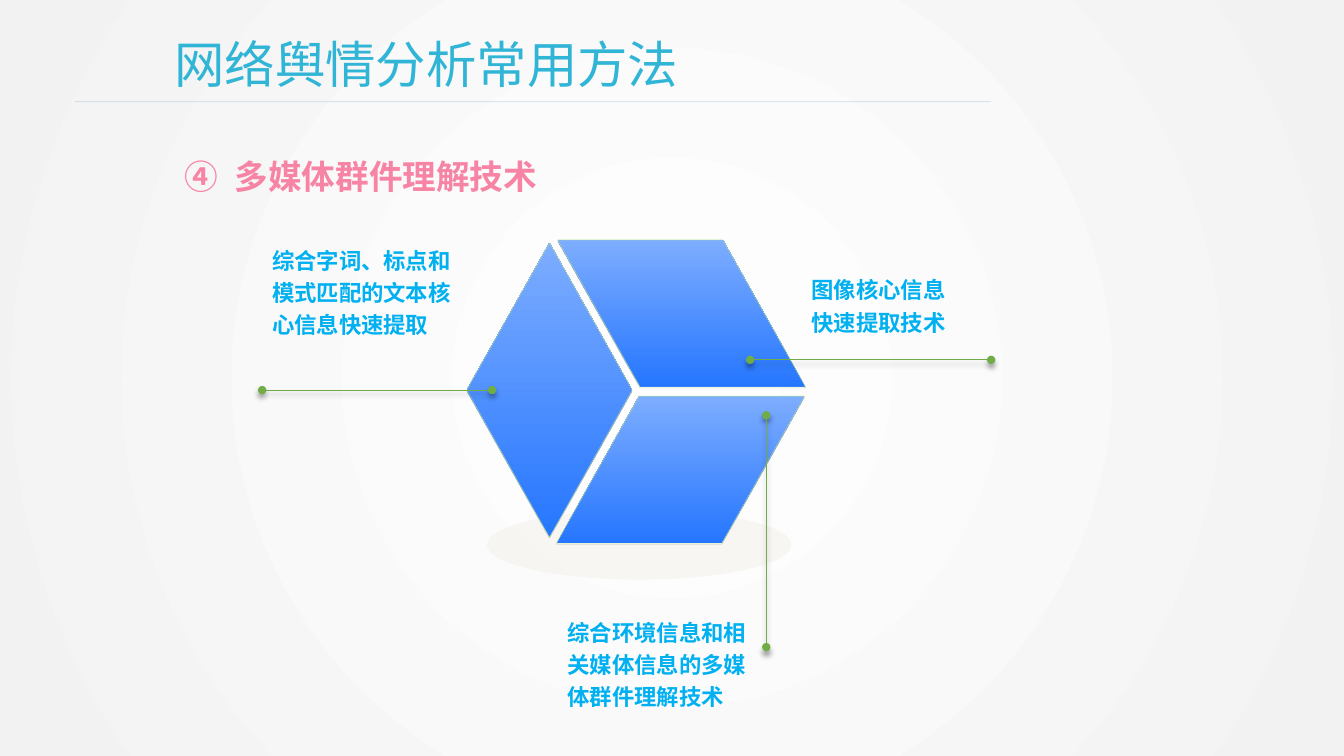
from lxml import etree
from pptx import Presentation
from pptx import util as u
from pptx.dml.color import RGBColor
from pptx.enum import shapes, text
from pptx.oxml.ns import qn

FONT = "Noto Sans CJK SC"
COLORS = {
    "title": "31B5D6", "heading": "F784A5", "label": "00B0F0",
    "rule": "4A7EBB", "callout": "70AD47", "floor": "EEECE1",
    "center": "FFFFFF", "edge": "F2F2F2",
}

# Text boxes: place (left, top, width, height), paragraphs, style name
LABEL = {"size": 16, "color": "label", "bold": True, "spacing": 1.2}
TEXTS = [
    ((1.63, 0.28, 8.5, 0.71), ["网络舆情分析常用方法"],
     {"size": 36, "color": "title"}),
    ((1.73, 1.5, 3.77, 0.5), ["多媒体群件理解技术"],
     {"size": 24, "color": "heading", "bold": True, "number": 4}),
    ((5.53, 6.04, 2.04, 1.04), ["综合环境信息和相关媒体信息的多媒体群件理解技术"], LABEL),
    ((7.95, 2.64, 1.89, 0.72), ["图像核心信息", "快速提取技术"], LABEL),
    ((2.6, 2.35, 1.99, 1.04), ["综合字词、标点和模式匹配的文本核心信息快速提取"], LABEL),
]

# Cube faces in hundredths of an inch: an origin and steps of half a face
HALF, RISE = 82, 146
FACES = [
    ((553, 238), [(0, 0), (1, 1), (3, 1), (2, 0)]),
    ((552, 539), [(0, 0), (2, 0), (3, -1), (1, -1)]),
    ((463, 387), [(0, 0), (1, 1), (2, 0), (1, -1)]),
]
# Layers: drop, bottom and top gradient colours, angle, outline
LAYERS = [
    (1, ("DDDDDD", "FFFFFF"), 270, "C0C0C0"),
    (0, ("2676FF", "7DADFF"), 90, "B8E08C"),
]

RULE = (0.74, 1.01, 9.83, 1.01)
FLOOR = (4.83, 5.06, 3.02, 0.69)
CALLOUTS = [
    (7.6, 4.12, 7.6, 6.42),
    (7.44, 3.57, 9.83, 3.57),
    (4.88, 3.87, 2.6, 3.87),
]


def rgb(name):
    return RGBColor.from_string(COLORS.get(name, name))


def inches(values):
    return [u.Inches(value) for value in values]


def child(parent, tag, **attributes):
    return etree.SubElement(parent, qn(tag), attributes)


def set_gradient(fill, stops, angle):
    fill.gradient()
    fill.gradient_angle = angle
    for stop, color in zip(fill.gradient_stops, stops):
        stop.color.rgb = rgb(color)


def set_alpha(element, percent):
    child(next(element.iter(qn("a:srgbClr"))), "a:alpha", val=str(percent * 1000))


def add_text(page, place, lines, style):
    box = page.shapes.add_textbox(*inches(place))
    frame = box.text_frame
    frame.word_wrap = True
    frame.auto_size = text.MSO_AUTO_SIZE.SHAPE_TO_FIT_TEXT
    for index, line in enumerate(lines):
        para = frame.add_paragraph() if index else frame.paragraphs[0]
        if "spacing" in style:
            para.line_spacing = style["spacing"]
        if "number" in style:
            props = para._p.get_or_add_pPr()
            props.set("marL", str(u.Inches(0.5)))
            props.set("indent", str(-u.Inches(0.5)))
            child(props, "a:buFont", typeface="+mj-ea")
            child(props, "a:buAutoNum", type="circleNumDbPlain",
                  startAt=str(style["number"]))
        span = para.add_run()
        span.text = line
        formats = {"name": FONT, "size": u.Pt(style["size"]),
                   "bold": style.get("bold", False)}
        for key, value in formats.items():
            setattr(span.font, key, value)
        span.font.color.rgb = rgb(style["color"])
        child(span._r.get_or_add_rPr(), "a:ea", typeface=FONT)


def add_line(page, ends, color):
    line = page.shapes.add_connector(shapes.MSO_CONNECTOR.STRAIGHT, *inches(ends))
    line.line.color.rgb = rgb(color)
    line.line.width = u.Pt(0.5)
    effects = child(line._element.spPr, "a:effectLst")
    return line, effects


def add_callout(page, ends):
    line, effects = add_line(page, ends, "callout")
    stroke = line.line._get_or_add_ln()
    for tag in ("a:headEnd", "a:tailEnd"):
        child(stroke, tag, type="oval")
    shadow = child(effects, "a:outerShdw", blurRad=str(u.Pt(4)), dist=str(u.Pt(3)),
                   dir="5400000", rotWithShape="0")
    child(child(shadow, "a:srgbClr", val="000000"), "a:alpha", val="40000")


def add_face(page, origin, steps, layer):
    drop, stops, angle, outline = layer
    points = [(origin[0] + x * HALF, origin[1] + drop + y * RISE) for x, y in steps]
    builder = page.shapes.build_freeform(*points[0], scale=u.Inches(0.01))
    builder.add_line_segments(points[1:], close=True)
    face = builder.convert_to_shape()
    face.shadow.inherit = False
    set_gradient(face.fill, stops, angle)
    face.line.color.rgb = rgb(outline)
    face.line.width = u.Pt(0.25)


def main():
    deck = Presentation()
    deck.slide_width, deck.slide_height = inches((13.33, 7.5))
    page = deck.slides.add_slide(deck.slide_layouts[6])

    # Radial background
    set_gradient(page.background.fill, ("center", "edge"), 0)
    gradient = next(page.element.iter(qn("a:gradFill")))
    gradient.remove(gradient.find(qn("a:lin")))
    radial = child(gradient, "a:path", path="circle")
    child(radial, "a:fillToRect", l="50000", t="50000", r="50000", b="50000")

    # Title rule
    rule, _ = add_line(page, RULE, "rule")
    set_alpha(rule._element, 25)

    # Cube on its floor shade
    floor = page.shapes.add_shape(shapes.MSO_SHAPE.OVAL, *inches(FLOOR))
    floor.shadow.inherit = False
    floor.fill.solid()
    floor.fill.fore_color.rgb = rgb("floor")
    floor.line.fill.background()
    set_alpha(floor._element, 37)
    for layer in LAYERS:
        for origin, steps in FACES:
            add_face(page, origin, steps, layer)

    # Texts and callouts
    for place, lines, style in TEXTS:
        add_text(page, place, lines, style)
    for ends in CALLOUTS:
        add_callout(page, ends)

    deck.save("out.pptx")


if __name__ == "__main__":
    main()
